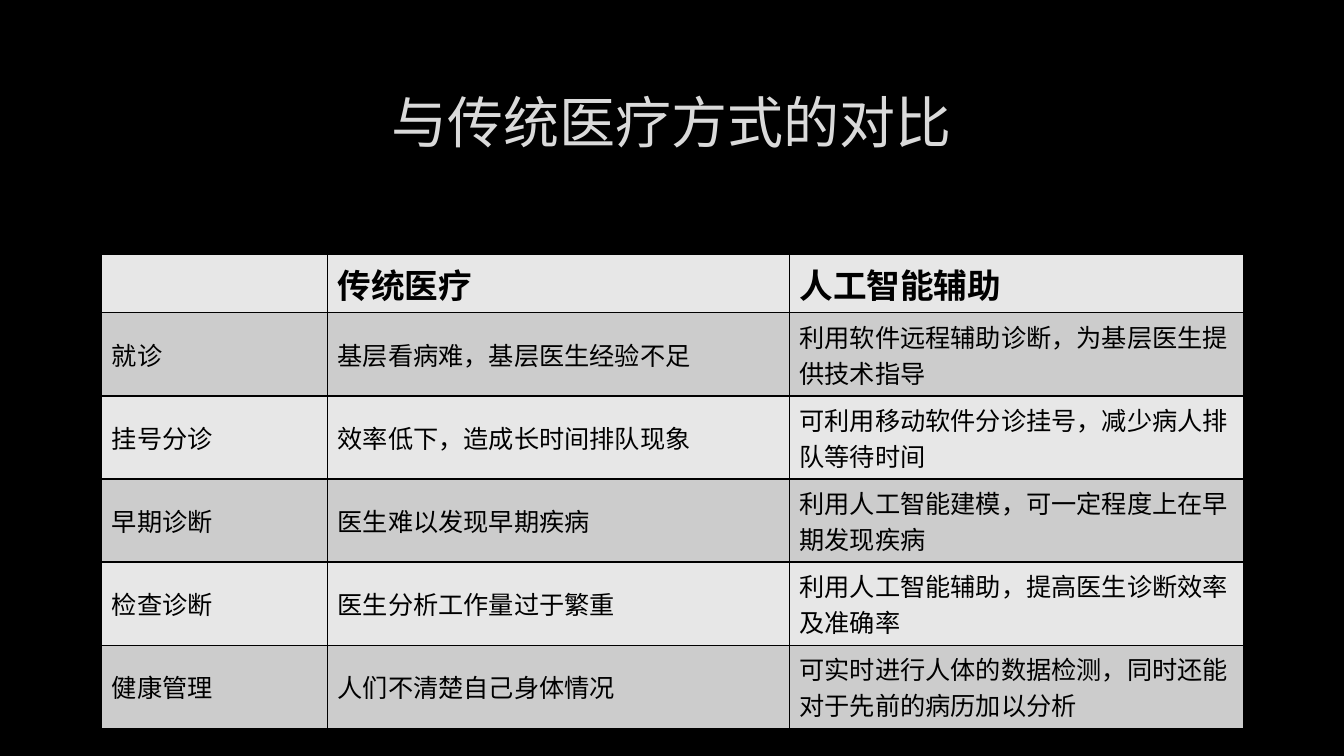
from pptx import Presentation
from pptx import util as u
from pptx.dml.color import RGBColor
from pptx.enum import text
from pptx.oxml import parse_xml
from pptx.oxml.ns import nsdecls

ROWS = [
    ("", "传统医疗", "人工智能辅助"),
    ("就诊", "基层看病难，基层医生经验不足", "利用软件远程辅助诊断，为基层医生提供技术指导"),
    ("挂号分诊", "效率低下，造成长时间排队现象", "可利用移动软件分诊挂号，减少病人排队等待时间"),
    ("早期诊断", "医生难以发现早期疾病", "利用人工智能建模，可一定程度上在早期发现疾病"),
    ("检查诊断", "医生分析工作量过于繁重", "利用人工智能辅助，提高医生诊断效率及准确率"),
    ("健康管理", "人们不清楚自己身体情况", "可实时进行人体的数据检测，同时还能对于先前的病历加以分析"),
]


def color(value):
    return RGBColor.from_string(value)


class ComparisonSlide:
    font_name = "Roboto"
    black = "000000"
    title_color = "DADADA"
    bands = ("E7E7E7", "CCCCCC")

    def __init__(self, presentation):
        self.column = presentation.slide_width / 100
        self.row = presentation.slide_height / 100
        self.slide = presentation.slides.add_slide(presentation.slide_layouts[5])
        background = self.slide.background.fill
        background.solid()
        background.fore_color.rgb = color(self.black)

    def x(self, columns):
        return u.Emu(round(columns * self.column))

    def y(self, rows):
        return u.Emu(round(rows * self.row))

    def style(self, paragraph, size, font_color, bold=False):
        font = paragraph.font
        font.name = self.font_name
        font.size = u.Pt(size)
        font.bold = bold
        font.color.rgb = color(font_color)

    def title(self, words, left, top, width, height):
        shape = self.slide.shapes.title
        shape.left, shape.top = self.x(left), self.y(top)
        shape.width, shape.height = self.x(width), self.y(height)
        frame = shape.text_frame
        frame.text = words
        frame.vertical_anchor = text.MSO_ANCHOR.MIDDLE
        paragraph = frame.paragraphs[0]
        paragraph.alignment = text.PP_ALIGN.CENTER
        self.style(paragraph, 40, self.title_color)

    def borders(self, cell):
        properties = cell._tc.get_or_add_tcPr()
        for side in "LRTB":
            properties.append(parse_xml(
                f'<a:ln{side} {nsdecls("a")} w="{u.Pt(1)}"><a:solidFill>'
                f'<a:srgbClr val="{self.black}"/></a:solidFill></a:ln{side}>'))

    def cell(self, cell, words, fill, header):
        self.borders(cell)
        cell.fill.solid()
        cell.fill.fore_color.rgb = color(fill)
        cell.text = words
        if not header:
            cell.vertical_anchor = text.MSO_ANCHOR.MIDDLE
        self.style(cell.text_frame.paragraphs[0], 24 if header else 18, self.black, header)

    def table(self, rows, left, top, widths, header_height, body_height):
        heights = [header_height] + [body_height] * (len(rows) - 1)
        table = self.slide.shapes.add_table(
            len(rows), len(widths), self.x(left), self.y(top),
            self.x(sum(widths)), self.y(sum(heights))).table
        table.first_row = table.horz_banding = False
        for column, width in zip(table.columns, widths):
            column.width = self.x(width)
        for index, (row, height, entries) in enumerate(zip(table.rows, heights, rows)):
            row.height = self.y(height)
            for cell, words in zip(row.cells, entries):
                self.cell(cell, words, self.bands[index % 2], index == 0)


def main():
    presentation = Presentation()
    presentation.slide_width = u.Inches(13.33)
    presentation.slide_height = u.Inches(7.5)
    comparison = ComparisonSlide(presentation)
    comparison.title("与传统医疗方式的对比", 7.5, 8.93, 84.92, 14.13)
    comparison.table(ROWS, 7.58, 33.6, (16.8, 34.36, 33.76), 7.73, 10.98)
    presentation.save("out.pptx")


if __name__ == "__main__":
    main()
